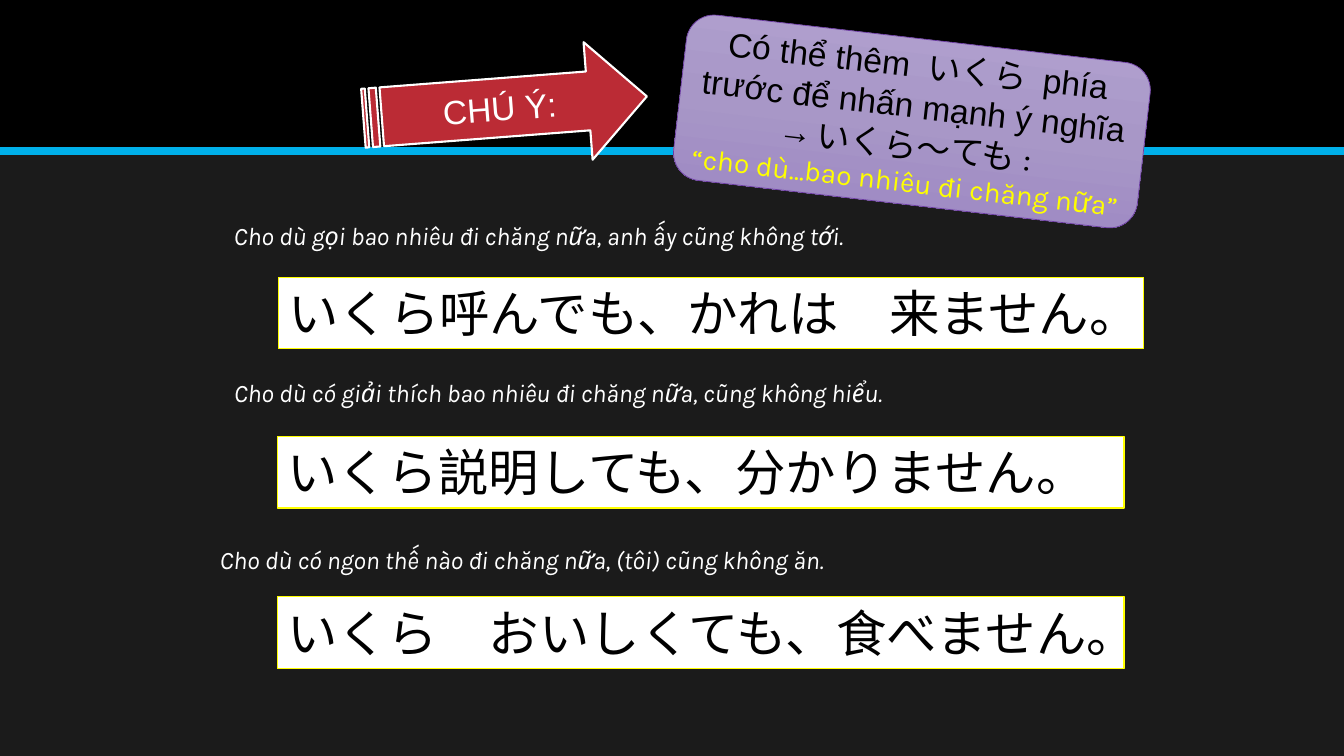
import copy
from dataclasses import dataclass

import lxml.etree
import pptx
import pptx.dml.color
import pptx.enum.shapes
import pptx.enum.text
import pptx.oxml.ns
import pptx.util

Inches = pptx.util.Inches
Pt = pptx.util.Pt
qn = pptx.oxml.ns.qn
PRESET = pptx.enum.shapes.MSO_SHAPE
CENTER = pptx.enum.text.PP_ALIGN.CENTER
MIDDLE = pptx.enum.text.MSO_ANCHOR.MIDDLE


@dataclass
class Box:
    left: float
    top: float
    width: float
    height: float


@dataclass
class Span:
    text: str
    size: float
    font: str
    color: str = "000000"
    italic: bool = False


@dataclass
class Example:
    meaning: str
    meaning_box: Box
    sentence: str
    sentence_box: Box


def rgb(color: str) -> pptx.dml.color.RGBColor:
    return pptx.dml.color.RGBColor.from_string(color)


def add_block(slide, preset, box: Box, fill: str, line: str = "", line_width: float = 1):
    block = slide.shapes.add_shape(
        preset, Inches(box.left), Inches(box.top), Inches(box.width), Inches(box.height))
    block.shadow.inherit = False
    block.fill.solid()
    block.fill.fore_color.rgb = rgb(fill)
    if line:
        block.line.color.rgb = rgb(line)
        block.line.width = Pt(line_width)
    else:
        block.line.fill.background()
    return block


def write_spans(paragraph, spans: list[Span], align=None) -> None:
    paragraph.alignment = align
    for span in spans:
        run = paragraph.add_run()
        run.text = span.text
        run.font.size = Pt(span.size)
        run.font.name = span.font
        run.font.color.rgb = rgb(span.color)
        run.font.italic = span.italic


def add_bullet(paragraph, mark: str) -> None:
    properties = paragraph._p.get_or_add_pPr()
    properties.set("marL", str(Inches(0.38)))
    properties.set("indent", str(-Inches(0.38)))
    lxml.etree.SubElement(properties, qn("a:buFont")).set("typeface", "Arial")
    lxml.etree.SubElement(properties, qn("a:buChar")).set("char", mark)


def fill_gradient(block, colors: list[str]) -> None:
    block.fill.gradient()
    block.fill.gradient_angle = 270
    stop_list = block._element.spPr.find(".//" + qn("a:gsLst"))
    while len(stop_list) < len(colors):
        stop_list.append(copy.deepcopy(stop_list[0]))
    for index, (stop, color) in enumerate(zip(block.fill.gradient_stops, colors)):
        stop.position = index / (len(colors) - 1)
        stop.color.rgb = rgb(color)


def add_header(slide) -> None:
    add_block(slide, PRESET.RECTANGLE, Box(0, 0, 13.33, 1.5), "000000")
    rule = slide.shapes.add_connector(
        pptx.enum.shapes.MSO_CONNECTOR.STRAIGHT,
        Inches(0), Inches(1.5), Inches(13.33), Inches(1.5))
    rule.line.color.rgb = rgb("00B0EA")
    rule.line.width = Pt(6)
    lxml.etree.SubElement(rule._element.spPr, qn("a:effectLst"))


def add_example(slide, example: Example) -> None:
    panel = add_block(slide, PRESET.RECTANGLE, example.sentence_box, "FFFFFF", "FFFF00")
    panel.text_frame.word_wrap = True
    panel.text_frame.vertical_anchor = pptx.enum.text.MSO_ANCHOR.TOP
    write_spans(panel.text_frame.paragraphs[0], [Span(example.sentence, 36, "Calibri")],
                pptx.enum.text.PP_ALIGN.LEFT)
    box = example.meaning_box
    meaning = slide.shapes.add_textbox(
        Inches(box.left), Inches(box.top), Inches(box.width), Inches(box.height))
    meaning.text_frame.word_wrap = True
    write_spans(meaning.text_frame.paragraphs[0],
                [Span(example.meaning, 18, "Karla", "FFFFFF", True)])


def add_grammar_note(slide) -> None:
    note = add_block(slide, PRESET.ROUNDED_RECTANGLE, Box(6.73, 0.38, 4.63, 1.65),
                     "A897C7", "6C3CA2", 0.5)
    note.rotation = 6.6
    fill_gradient(note, ["B3A3D1", "A897C7", "9A83C2"])
    frame = note.text_frame
    frame.word_wrap = True
    frame.vertical_anchor = MIDDLE
    write_spans(frame.paragraphs[0], [
        Span("Có thể thêm ", 24, "Arial"),
        Span("いくら ", 24, "Calibri"),
        Span("phía trước để nhấn mạnh ý nghĩa", 24, "Arial"),
    ], CENTER)
    pattern = frame.add_paragraph()
    add_bullet(pattern, "→")
    write_spans(pattern, [Span("いくら～ても", 24, "Calibri"), Span(": ", 24, "Karla")], CENTER)
    write_spans(frame.add_paragraph(),
                [Span("“cho dù…bao nhiêu đi chăng nữa”", 20, "Karla", "FFFF00")], CENTER)


def add_attention_arrow(slide) -> None:
    arrow = add_block(slide, PRESET.STRIPED_RIGHT_ARROW, Box(3.6, 0.48, 2.82, 1.17),
                      "BB2B35", "FFFFFF", 1.5)
    arrow.rotation = 355.6
    arrow.text_frame.word_wrap = True
    arrow.text_frame.vertical_anchor = MIDDLE
    write_spans(arrow.text_frame.paragraphs[0],
                [Span("CHÚ Ý:", 24, "Arial", "FFFFFF")], CENTER)


EXAMPLES = [
    Example("Cho dù gọi bao nhiêu đi chăng nữa, anh ấy cũng không tới.",
            Box(2.22, 2.14, 6.83, 0.4),
            "いくら呼んでも、かれは　来ません。", Box(2.76, 2.75, 8.58, 0.71)),
    Example("Cho dù có giải thích bao nhiêu đi chăng nữa, cũng không hiểu.",
            Box(2.22, 3.69, 7.25, 0.4),
            "いくら説明しても、分かりません。", Box(2.75, 4.33, 8.4, 0.71)),
    Example("Cho dù có ngon thế nào đi chăng nữa, (tôi) cũng không ăn.",
            Box(2.08, 5.35, 6.84, 0.4),
            "いくら　おいしくても、食べません。", Box(2.75, 5.92, 8.4, 0.71)),
]


def main() -> None:
    presentation = pptx.Presentation()
    presentation.slide_width = Inches(13.33)
    presentation.slide_height = Inches(7.5)
    slide = presentation.slides.add_slide(presentation.slide_layouts[6])
    slide.background.fill.solid()
    slide.background.fill.fore_color.rgb = rgb("1B1B1B")
    add_header(slide)
    for example in EXAMPLES:
        add_example(slide, example)
    add_grammar_note(slide)
    add_attention_arrow(slide)
    presentation.save("out.pptx")


if __name__ == "__main__":
    main()
